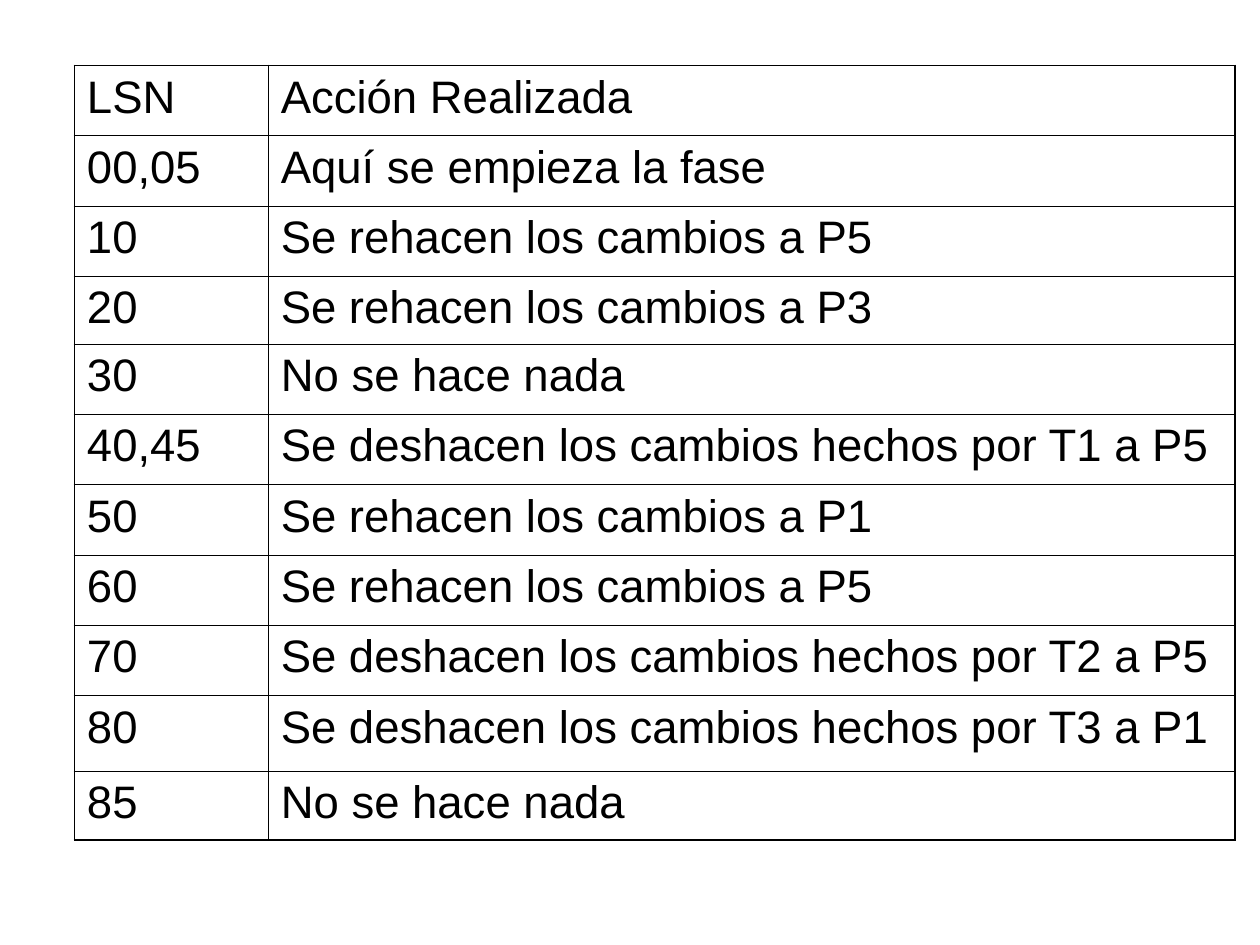
"""Build a slide with a table of recovery actions by LSN."""
from dataclasses import dataclass

from lxml import etree
from pptx import Presentation
from pptx import util as u
from pptx.dml.color import RGBColor
from pptx.enum import text
from pptx.oxml.ns import qn

ROWS = [
    ("LSN", "Acción Realizada"),
    ("00,05", "Aquí se empieza la fase"),
    ("10", "Se rehacen los cambios a P5"),
    ("20", "Se rehacen los cambios a P3"),
    ("30", "No se hace nada"),
    ("40,45", "Se deshacen los cambios hechos por T1 a P5"),
    ("50", "Se rehacen los cambios a P1"),
    ("60", "Se rehacen los cambios a P5"),
    ("70", "Se deshacen los cambios hechos por T2 a P5"),
    ("80", "Se deshacen los cambios hechos por T3 a P1"),
    ("85", "No se hace nada"),
]
SIZE = (10, 7.5)
BOX = (0.59, 0.52, 9.21, 6.15)
COLS = (1.54, 7.68)
HIGH = {3: 0.54, 9: 0.6, 10: 0.55}
BASE = 0.56


@dataclass(frozen=True)
class Theme:
    """Hold the colour, font and line sizes."""
    ink: str = "000000"
    font: str = "Arial"
    size: float = 26
    outer: float = 1.08
    inner: float = 0.45


THEME = Theme()


def share(parts, total):
    """Scale the parts so that they fill the total length."""
    return [u.Inches(total * part / sum(parts)) for part in parts]


def border(cell, row, col):
    """Rule the cell, with heavier lines on the table's edge."""
    edges = {
        "L": col == 0,
        "R": col == len(COLS) - 1,
        "T": row == 0,
        "B": row == len(ROWS) - 1,
    }
    props = cell._tc.get_or_add_tcPr()
    for side, edge in edges.items():
        width = u.Pt(THEME.outer if edge else THEME.inner)
        line = etree.SubElement(props, qn(f"a:ln{side}"), w=str(int(width)))
        fill = etree.SubElement(line, qn("a:solidFill"))
        etree.SubElement(fill, qn("a:srgbClr"), val=THEME.ink)


def write(cell, words):
    """Put styled words in the cell."""
    cell.text_frame.text = words
    cell.vertical_anchor = text.MSO_ANCHOR.TOP
    font = cell.text_frame.paragraphs[0].runs[0].font
    font.name, font.size, font.bold = THEME.font, u.Pt(THEME.size), False
    font.color.rgb = RGBColor.from_string(THEME.ink)


def main():
    """Lay out the table and save the deck."""
    deck = Presentation()
    deck.slide_width, deck.slide_height = map(u.Inches, SIZE)
    slide = deck.slides.add_slide(deck.slide_layouts[6])
    table = slide.shapes.add_table(len(ROWS), len(COLS), *map(u.Inches, BOX)).table
    table.first_row = table.horz_banding = False
    for col, width in zip(table.columns, share(COLS, BOX[2])):
        col.width = width
    parts = [HIGH.get(row, BASE) for row in range(len(ROWS))]
    for line, height in zip(table.rows, share(parts, BOX[3])):
        line.height = height
    for row, line in enumerate(ROWS):
        for col, words in enumerate(line):
            cell = table.cell(row, col)
            write(cell, words)
            border(cell, row, col)
            cell.fill.background()
    deck.save("out.pptx")


if __name__ == "__main__":
    main()
